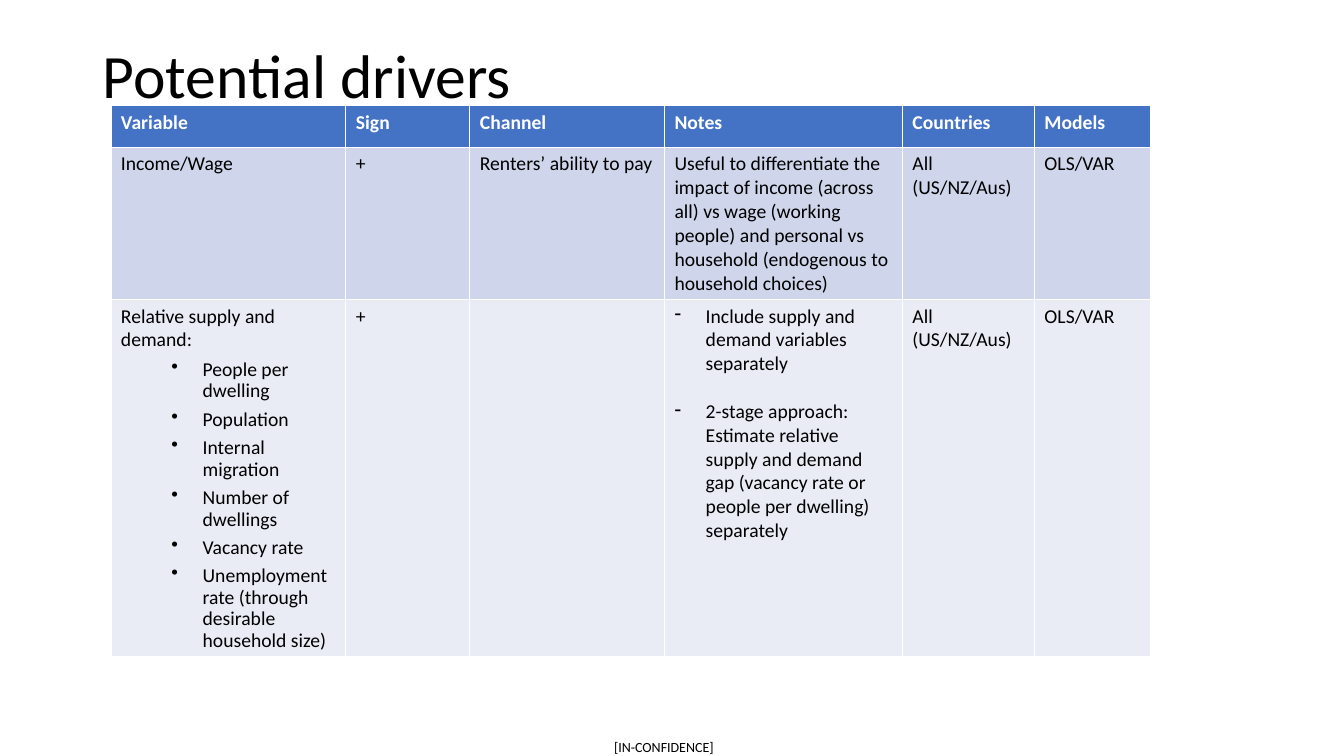
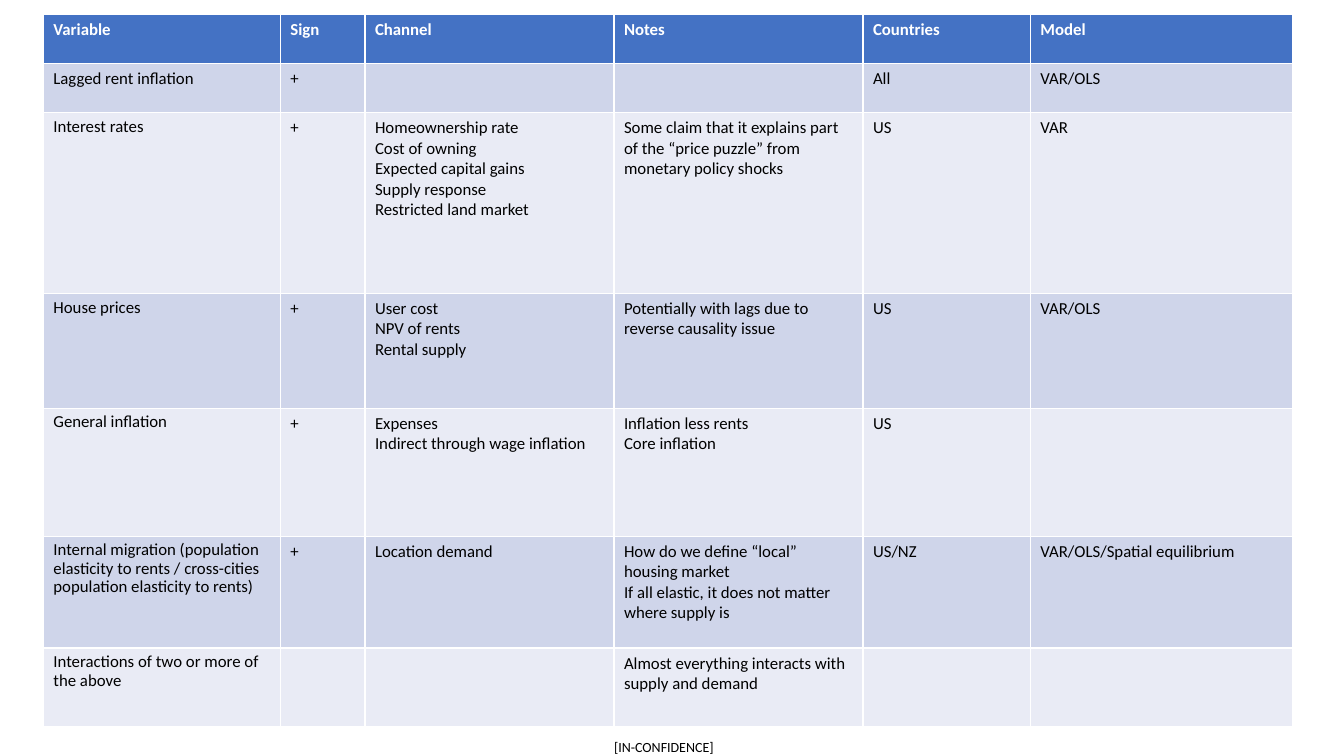
import pptx
import pptx.util
import pptx.dml.color
import pptx.enum.text
import pptx.oxml.ns
import lxml.etree

RGBColor = pptx.dml.color.RGBColor
Pt = pptx.util.Pt
ALIGN = pptx.enum.text.PP_ALIGN
ANCHOR = pptx.enum.text.MSO_ANCHOR

# Shared look; 100 px make one inch
PX = 9144
FONT = "Calibri"
BLACK = RGBColor(0x00, 0x00, 0x00)
WHITE = RGBColor(0xFF, 0xFF, 0xFF)
HEADER_BLUE = RGBColor(0x44, 0x72, 0xC4)
BANDS = (RGBColor(0xCF, 0xD5, 0xEA), RGBColor(0xE9, 0xEB, 0xF5))
CONFIDENCE_MARK = "[IN-CONFIDENCE]"

# Paragraph styles: bullet sign, left margin and hanging indent in px, spacing
STYLES = {
    "plain": {},
    "tight": {"line": 0.9},
    "bullet": {"sign": "•", "margin": 81, "hang": 31, "line": 0.9, "before": 5, "level": 1},
    "dash": {"sign": "-", "margin": 31, "hang": 31},
    "dash apart": {"sign": "-", "margin": 31, "hang": 31, "before": 17},
}

# Content: a cell is a text or a list of (style, text) paragraphs
SLIDES = [
    {
        "title": "Potential drivers",
        "origin": (110, 105),
        "columns": (233, 123, 193, 236, 131, 115),
        "heights": (41, 151, 354),
        "size": 14,
        "rows": [
            ["Variable", "Sign", "Channel", "Notes", "Countries", "Models"],
            ["Income/Wage", "+", "Renters’ ability to pay",
             "Useful to differentiate the impact of income (across all) vs wage "
             "(working people) and personal vs household (endogenous to household choices)",
             "All (US/NZ/Aus)", "OLS/VAR"],
            [[("plain", "Relative supply and demand:"),
              ("bullet", "People per dwelling"),
              ("bullet", "Population"),
              ("bullet", "Internal migration"),
              ("bullet", "Number of dwellings"),
              ("bullet", "Vacancy rate"),
              ("bullet", "Unemployment rate (through desirable household size)")],
             "+", "",
             [("dash", "Include supply and demand variables separately"),
              ("dash apart", "2-stage approach: Estimate relative supply and demand gap "
                             "(vacancy rate or people per dwelling) separately")],
             "All (US/NZ/Aus)", "OLS/VAR"],
        ],
    },
    {
        "title": None,
        "origin": (43, 14),
        "columns": (235, 84, 247, 247, 166, 260),
        "heights": (49, 49, 179, 114, 127, 111, 78),
        "size": 12,
        "rows": [
            ["Variable", "Sign", "Channel", "Notes", "Countries", "Model"],
            ["Lagged rent inflation", "+", "", "", "All", "VAR/OLS"],
            [[("tight", "Interest rates")], "+",
             [("plain", "Homeownership rate"), ("plain", "Cost of owning"),
              ("plain", "Expected capital gains"), ("plain", "Supply response"),
              ("plain", "Restricted land market")],
             "Some claim that it explains part of the “price puzzle” from monetary policy shocks",
             "US", "VAR"],
            [[("tight", "House prices")], "+",
             [("plain", "User cost"), ("plain", "NPV of rents"), ("plain", "Rental supply")],
             "Potentially with lags due to reverse causality issue", "US", "VAR/OLS"],
            [[("tight", "General inflation")], "+",
             [("plain", "Expenses"), ("plain", "Indirect through wage inflation")],
             [("plain", "Inflation less rents"), ("plain", "Core inflation")], "US", ""],
            [[("tight", "Internal migration (population elasticity to rents / "
                        "cross-cities population elasticity to rents)")], "+",
             "Location demand",
             [("plain", "How do we define “local” housing market"),
              ("plain", "If all elastic, it does not matter where supply is")],
             "US/NZ", "VAR/OLS/Spatial equilibrium"],
            [[("tight", "Interactions of two or more of the above")], "", "",
             "Almost everything interacts with supply and demand", "", ""],
        ],
    },
]


def place(shape, left, top, width, height):
    shape.left, shape.top = left * PX, top * PX
    shape.width, shape.height = width * PX, height * PX


def set_font(paragraph, size, color=BLACK, bold=False):
    for run in paragraph.runs:
        run.font.name = FONT
        run.font.size = Pt(size)
        run.font.color.rgb = color
        run.font.bold = bold


def apply_style(paragraph, style):
    paragraph.level = style.get("level", 0)
    if "line" in style:
        paragraph.line_spacing = style["line"]
    if "before" in style:
        paragraph.space_before = Pt(style["before"])
    if "sign" in style:
        properties = paragraph._p.get_or_add_pPr()
        properties.set("marL", str(style["margin"] * PX))
        properties.set("indent", str(-style["hang"] * PX))
        sign = lxml.etree.SubElement(properties, pptx.oxml.ns.qn("a:buChar"))
        sign.set("char", style["sign"])


def fill_cell(cell, content, size, fill, color, bold):
    cell.fill.solid()
    cell.fill.fore_color.rgb = fill
    paragraphs = [("plain", content)] if isinstance(content, str) else content
    cell.text_frame.text = "\n".join(text for _, text in paragraphs)
    for paragraph, (style, _) in zip(cell.text_frame.paragraphs, paragraphs):
        apply_style(paragraph, STYLES[style])
        set_font(paragraph, size, color, bold)
        paragraph.font.size = Pt(size)


def add_title(slide, text):
    title = slide.shapes.title
    place(title, 92, 5, 1150, 145)
    frame = title.text_frame
    frame.text = text
    frame.auto_size = pptx.enum.text.MSO_AUTO_SIZE.NONE
    frame.vertical_anchor = ANCHOR.MIDDLE
    heading = frame.paragraphs[0]
    heading.alignment = ALIGN.LEFT
    heading.line_spacing = 0.9
    set_font(heading, 44)


def add_drivers(slide, content):
    columns, heights = content["columns"], content["heights"]
    frame = slide.shapes.add_table(len(heights), len(columns), 0, 0, PX, PX)
    place(frame, *content["origin"], sum(columns), sum(heights))
    drivers = frame.table
    drivers.horz_banding = False
    for column, width in zip(drivers.columns, columns):
        column.width = width * PX
    for number, (row, height) in enumerate(zip(drivers.rows, heights)):
        row.height = height * PX
        header = number == 0
        fill = HEADER_BLUE if header else BANDS[(number - 1) % 2]
        for cell, text in zip(row.cells, content["rows"][number]):
            fill_cell(cell, text, content["size"], fill, WHITE if header else BLACK, header)


def add_confidence_mark(slide):
    mark = slide.shapes.add_textbox(0, 0, PX, PX)
    place(mark, 607, 733, 103, 17)
    frame = mark.text_frame
    frame.word_wrap = True
    frame.margin_left = frame.margin_right = frame.margin_top = frame.margin_bottom = 0
    frame.text = CONFIDENCE_MARK
    frame.paragraphs[0].alignment = ALIGN.CENTER
    set_font(frame.paragraphs[0], 10)


def main():
    deck = pptx.Presentation()
    deck.slide_width, deck.slide_height = 1333 * PX, 750 * PX
    title_only, blank = deck.slide_layouts[5], deck.slide_layouts[6]
    for content in SLIDES:
        slide = deck.slides.add_slide(title_only if content["title"] else blank)
        add_confidence_mark(slide)
        if content["title"]:
            add_title(slide, content["title"])
        add_drivers(slide, content)
    deck.save("out.pptx")


if __name__ == "__main__":
    main()
